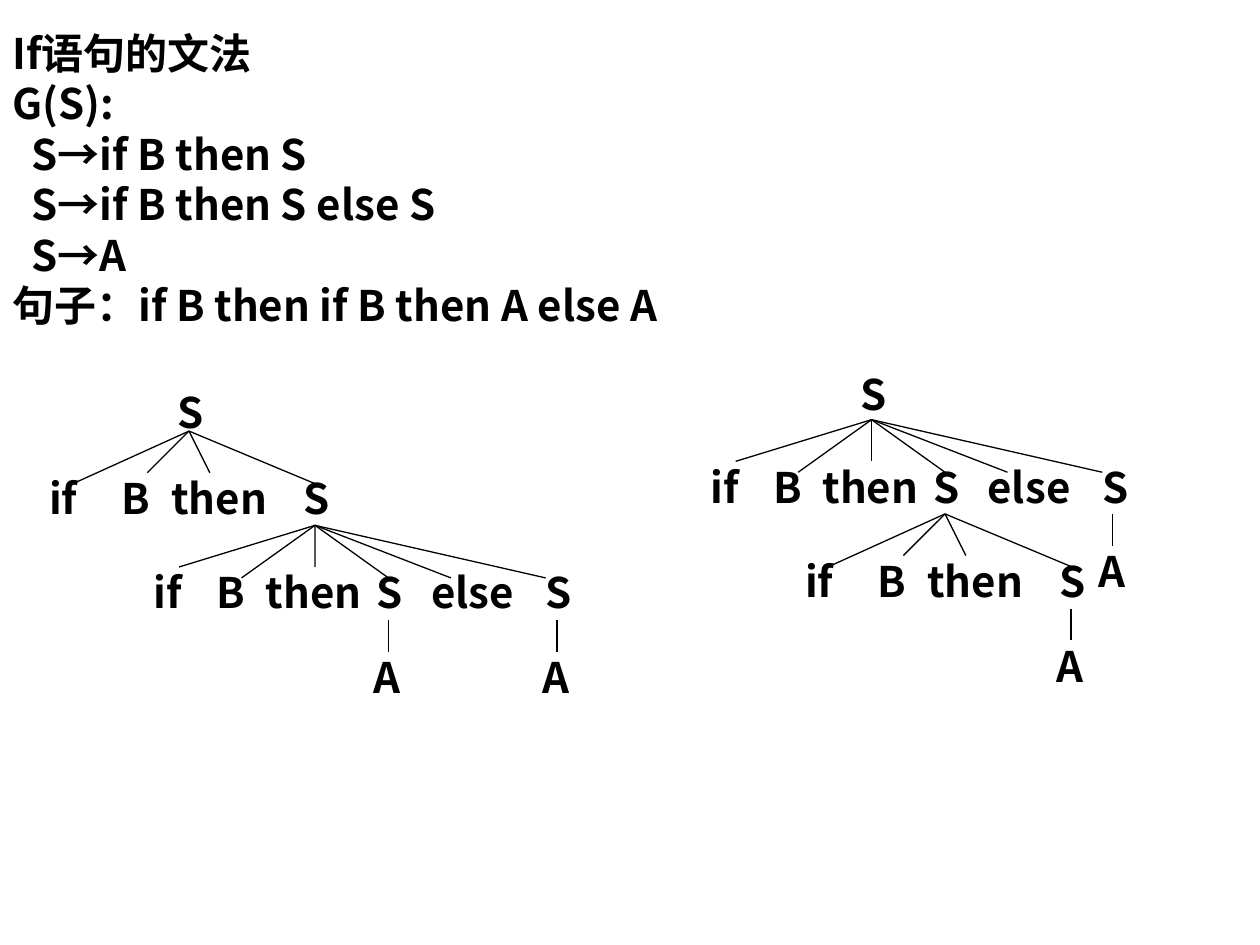
from pptx import Presentation
from pptx.dml.color import RGBColor
from pptx.enum.shapes import MSO_CONNECTOR
from pptx.enum.text import MSO_AUTO_SIZE
from pptx.oxml.ns import qn
from pptx.util import Cm, Pt
from lxml.etree import SubElement

FONT = "Noto Sans CJK SC"
INK = "000000"
HIGH = 1.02
GRAMMAR = [
    ("If语句的文法", 0),
    ("G(S):", 0),
    ("S→if B then S", 0.38),
    ("S→if B then S else S", 0.38),
    ("S→A", 0.38),
    ("句子：if B then if B then A else A", 0),
]
WIDTHS = {"if": 0.58, "B": 0.56, "then": 1.98, "S": 0.46, "else": 1.7, "A": 0.58}

# word, left edge, line end across, line end down
SHORT = (0.84, [
    ("if", -2.82, -2.34, 1.06),
    ("B", -1.35, -0.84, 0.84),
    ("then", -0.36, 0.42, 0.84),
    ("S", 2.31, 2.54, 1.06),
])
LONG = (0.84, [
    ("if", -3.25, -2.74, 0.84),
    ("B", -1.98, -1.48, 1.06),
    ("then", -0.99, 0, 0.84),
    ("S", 1.24, 1.48, 1.06),
    ("else", 2.34, 2.74, 1.06),
    ("S", 4.65, 4.65, 1.06),
])
LEAF = (0.64, [("A", -0.29, 0, 0.64)])
ROOTS = [(3.58, 7.8), (17.35, 7.42)]
FANS = [
    (SHORT, 3.81, 8.69),
    (LONG, 6.35, 10.59),
    (LEAF, 7.83, 12.5),
    (LEAF, 11.23, 12.5),
    (LONG, 17.57, 8.46),
    (SHORT, 19.05, 10.36),
    (LEAF, 21.59, 12.27),
    (LEAF, 22.43, 10.36),
]


def tint(code):
    return RGBColor.from_string(code)


def style(para):
    for run in para.runs:
        font = run.font
        font.name = FONT
        font.size = Pt(24)
        font.bold = True
        font.color.rgb = tint(INK)
        SubElement(font._element, qn("a:ea"), typeface=FONT)


def add_text(slide):
    box = slide.shapes.add_textbox(Cm(0), Cm(0.43), Cm(19.25), Cm(6.78))
    frame = box.text_frame
    frame.word_wrap = True
    frame.text = "\n".join(text for text, _ in GRAMMAR)
    for para, (_, inset) in zip(frame.paragraphs, GRAMMAR):
        para._p.get_or_add_pPr().set("marL", str(Cm(inset)))
        style(para)
    frame.paragraphs[0].space_before = Pt(6)


def add_word(slide, word, left, top):
    box = slide.shapes.add_textbox(Cm(left), Cm(top), Cm(WIDTHS[word]), Cm(HIGH))
    frame = box.text_frame
    frame.margin_left = frame.margin_right = 0
    frame.margin_top = frame.margin_bottom = 0
    frame.word_wrap = False
    frame.auto_size = MSO_AUTO_SIZE.SHAPE_TO_FIT_TEXT
    frame.text = word
    style(frame.paragraphs[0])
    return box


def add_line(slide, x, y, dx, dy):
    line = slide.shapes.add_connector(
        MSO_CONNECTOR.STRAIGHT, Cm(x), Cm(y), Cm(x + dx), Cm(y + dy))
    line.line.color.rgb = tint(INK)
    line.line.width = Pt(0.75)
    SubElement(line._element.spPr, qn("a:effectLst"))
    return line


def add_fan(slide, fan, x, y):
    drop, parts = fan
    for word, left, dx, dy in parts:
        line = add_line(slide, x, y, dx, dy)
        box = add_word(slide, word, x + left, y + drop)
        mid = left + WIDTHS[word] / 2
        if dy == drop and abs(mid - dx) < 0.02:
            line.end_connect(box, 0)


def main():
    deck = Presentation()
    deck.slide_width, deck.slide_height = Cm(25.4), Cm(19.05)
    slide = deck.slides.add_slide(deck.slide_layouts[6])
    add_text(slide)
    for left, top in ROOTS:
        add_word(slide, "S", left, top)
    for fan, x, y in FANS:
        add_fan(slide, fan, x, y)
    deck.save("out.pptx")


if __name__ == "__main__":
    main()
